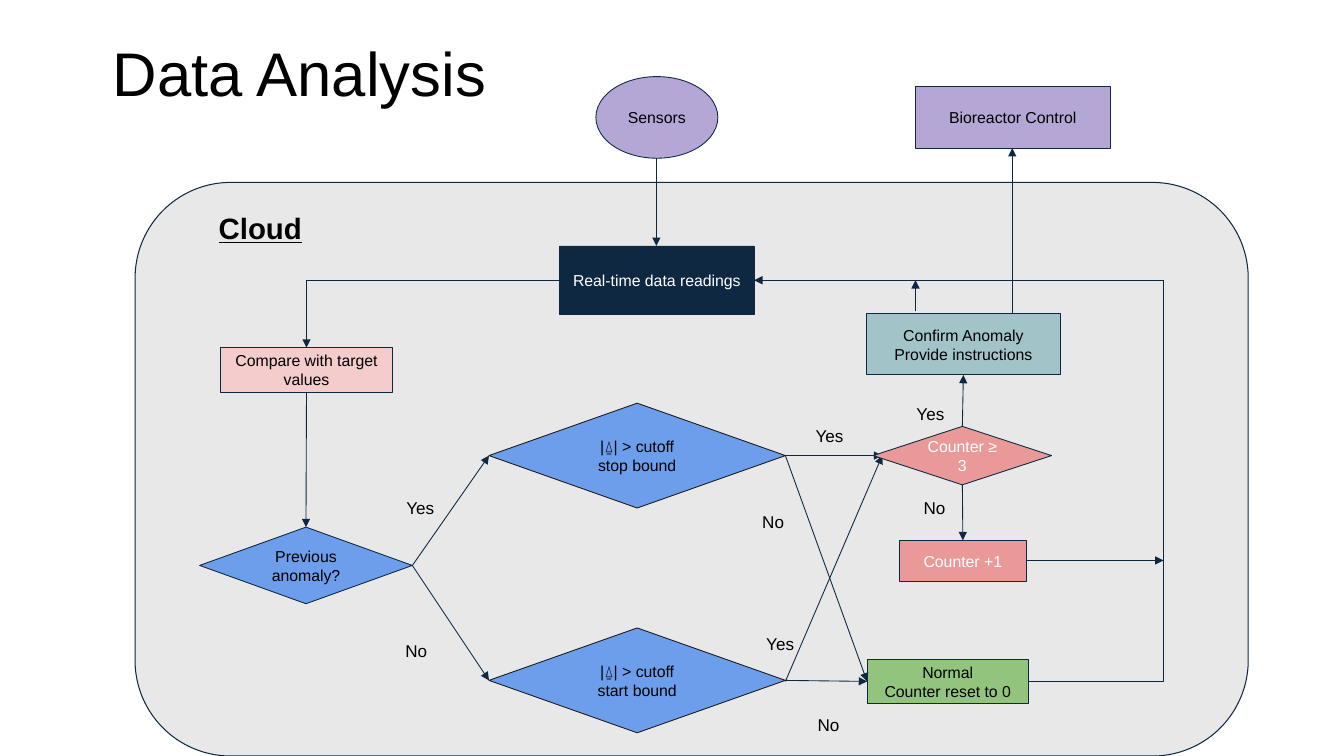
from lxml.etree import SubElement
from pptx import Presentation
from pptx.dml.color import RGBColor
from pptx.enum.shapes import MSO_CONNECTOR as LINK, MSO_SHAPE as SHAPE
from pptx.enum.text import MSO_ANCHOR as ANCHOR, PP_ALIGN as ALIGN
from pptx.oxml.ns import qn
from pptx.util import Inches, Pt

CELL = Inches(0.1)
NAVY, BLACK, WHITE = "0E2841", "000000", "FFFFFF"
BLUE, LILAC, ROSE = "6D9EEB", "B4A7D6", "EA9999"
TOP, LEFT, BOTTOM, RIGHT = range(4)


def cells(*counts):
    return [round(count * CELL) for count in counts]


def paint(target, color):
    if hasattr(target, "solid"):
        target.solid()
        target.fore_color.rgb = RGBColor.from_string(color)
    else:
        target.rgb = RGBColor.from_string(color)


def write(shape, text, size, color=BLACK, align=ALIGN.LEFT, anchor=ANCHOR.TOP, inset=0.8):
    frame = shape.text_frame
    frame.word_wrap = True
    frame.vertical_anchor = anchor
    (frame.margin_left, frame.margin_top,
     frame.margin_right, frame.margin_bottom) = cells(*[inset] * 4)
    frame.text = text
    for paragraph in frame.paragraphs:
        paragraph.alignment = align
        paragraph.font.name = "Arial"
        paragraph.font.size = Pt(size)
        paint(paragraph.font.color, color)
    return frame


def note(slide, box, text, size=12.2, inset=0.8):
    return write(slide.shapes.add_textbox(*cells(*box)), text, size, inset=inset)


def node(slide, origin, place, kind, text, fill, color=BLACK, outline=NAVY, inset=0.8):
    x, y, width, height = place
    shape = slide.shapes.add_shape(kind, *cells(origin[0] + x, origin[1] + y, width, height))
    shape.shadow.inherit = False
    paint(shape.fill, fill)
    paint(shape.line.fill, outline)
    shape.line.width = Pt(0.61)
    if text:
        write(shape, text, 11.3, color, ALIGN.CENTER, ANCHOR.MIDDLE, inset)
    return shape


def flow(slide, start=(0, 0), end=(0, 0), kind=LINK.STRAIGHT, arrow=True, width=0.61):
    link = slide.shapes.add_connector(kind, *cells(*start, *end))
    paint(link.line.fill, NAVY)
    link.line.width = Pt(width)
    properties = link._element.spPr
    if kind == LINK.ELBOW:
        properties.find(qn("a:prstGeom")).set("prst", "bentConnector2")
    if arrow:
        SubElement(properties.find(qn("a:ln")), qn("a:tailEnd"), type="triangle")
    SubElement(properties, qn("a:effectLst"))
    return link


def join(slide, source, source_side, target, target_side):
    link = flow(slide)
    link.begin_connect(source, source_side)
    link.end_connect(target, target_side)


def draw_cloud(slide, box):
    cloud = node(slide, (0, 0), box, SHAPE.ROUNDED_RECTANGLE, "", "E8E8E8")
    cloud.line.width = Pt(0.75)
    heading = note(slide, (box[0] + 7.3, box[1] + 1.7, 12.1, 6.2), "Cloud", 21, 1)
    heading.paragraphs[0].font.bold = True
    heading.paragraphs[0].font.underline = True


def draw_outside(slide, origin):
    node(slide, origin, (0, 0, 12.1, 8.1), SHAPE.OVAL, "Sensors", LILAC)
    return node(slide, origin, (31.7, 1, 19.3, 6.1), SHAPE.RECTANGLE,
                "Bioreactor Control", LILAC)


def draw_intake(slide, origin):
    node(slide, origin, (35.7, 0, 19.3, 6.8), SHAPE.RECTANGLE,
         "Real-time data readings", NAVY, WHITE)
    compare = node(slide, origin, (2.1, 10.1, 17, 4.4), SHAPE.RECTANGLE,
                   "Compare with target values", "F4CCCC")
    previous = node(slide, origin, (0, 27.9, 21.1, 7.6), SHAPE.FLOWCHART_DECISION,
                    "Previous anomaly?", BLUE)
    join(slide, compare, BOTTOM, previous, TOP)
    return previous


def draw_bounds(slide, origin, previous):
    bounds = [
        node(slide, origin, (0, row * 22.3, 29.4, 10.4), SHAPE.FLOWCHART_DECISION,
             f"|⍙| > cutoff\v{name} bound", BLUE, outline="1A1A1A")
        for row, name in enumerate(("stop", "start"))
    ]
    for bound in bounds:
        join(slide, previous, RIGHT, bound, LEFT)
    return bounds


def draw_outcomes(slide, origin, bounds):
    x, y = origin
    for drop in (14.1, 36.5):
        flow(slide, (x - 8, y + drop), (x + 1.6, y + 14.1))
    confirm = node(slide, origin, (0, 0, 19.3, 6.1), SHAPE.RECTANGLE,
                   "Confirm Anomaly\nProvide instructions", "A2C4C9")
    counter = node(slide, origin, (0.7, 11.2, 17.7, 5.8), SHAPE.DIAMOND,
                   "Counter ≥ 3", ROSE, WHITE, inset=1)
    increment = node(slide, origin, (3.3, 22.5, 12.6, 4.1), SHAPE.RECTANGLE,
                     "Counter +1", ROSE, WHITE)
    normal = node(slide, origin, (0.1, 34.3, 16, 4.4), SHAPE.RECTANGLE,
                  "Normal\vCounter reset to 0", "93C47D")
    join(slide, counter, TOP, confirm, BOTTOM)
    join(slide, counter, BOTTOM, increment, TOP)
    for bound in bounds:
        join(slide, bound, RIGHT, normal, LEFT)


def draw_returns(slide, rail, level):
    flow(slide, (65.1, 15.7), (65.1, 24.4))
    flow(slide, (100.4, 31.2), (100.4, 14.7))
    flow(slide, (55.5, level), (30.4, 34.5), LINK.ELBOW)
    flow(slide, (102, 67.6), (rail, level), LINK.ELBOW, arrow=False)
    flow(slide, (101.8, 55.6), (rail, 55.6))
    flow(slide, (rail, level), (74.8, level), width=0.75)
    flow(slide, (90.8, 30.9), (90.8, level), width=0.75)


def draw_answers(slide):
    answers = {
        "Yes": [(75.2, 62), (80.1, 41.4), (39.5, 48.6), (90.1, 39.2)],
        "No": [(80.3, 70.1), (74.8, 49.9), (39.4, 62.7), (90.8, 48.6)],
    }
    for answer, places in answers.items():
        for place in places:
            note(slide, (*place, 5.3, 3.6), answer)


def main():
    deck = Presentation()
    deck.slide_width, deck.slide_height = Inches(13.33), Inches(7.5)
    slide = deck.slides.add_slide(deck.slide_layouts[6])
    draw_cloud(slide, (13.4, 18.1, 110.4, 56.9))
    note(slide, (10.2, 2.5, 47.9, 9.4), "Data Analysis", 44, 1)
    draw_outside(slide, (59.1, 7.6))
    previous = draw_intake(slide, (19.8, 24.4))
    bounds = draw_bounds(slide, (48.5, 40), previous)
    draw_outcomes(slide, (85.9, 31.1), bounds)
    draw_returns(slide, 115.4, 27.8)
    draw_answers(slide)
    deck.save("out.pptx")


if __name__ == "__main__":
    main()
